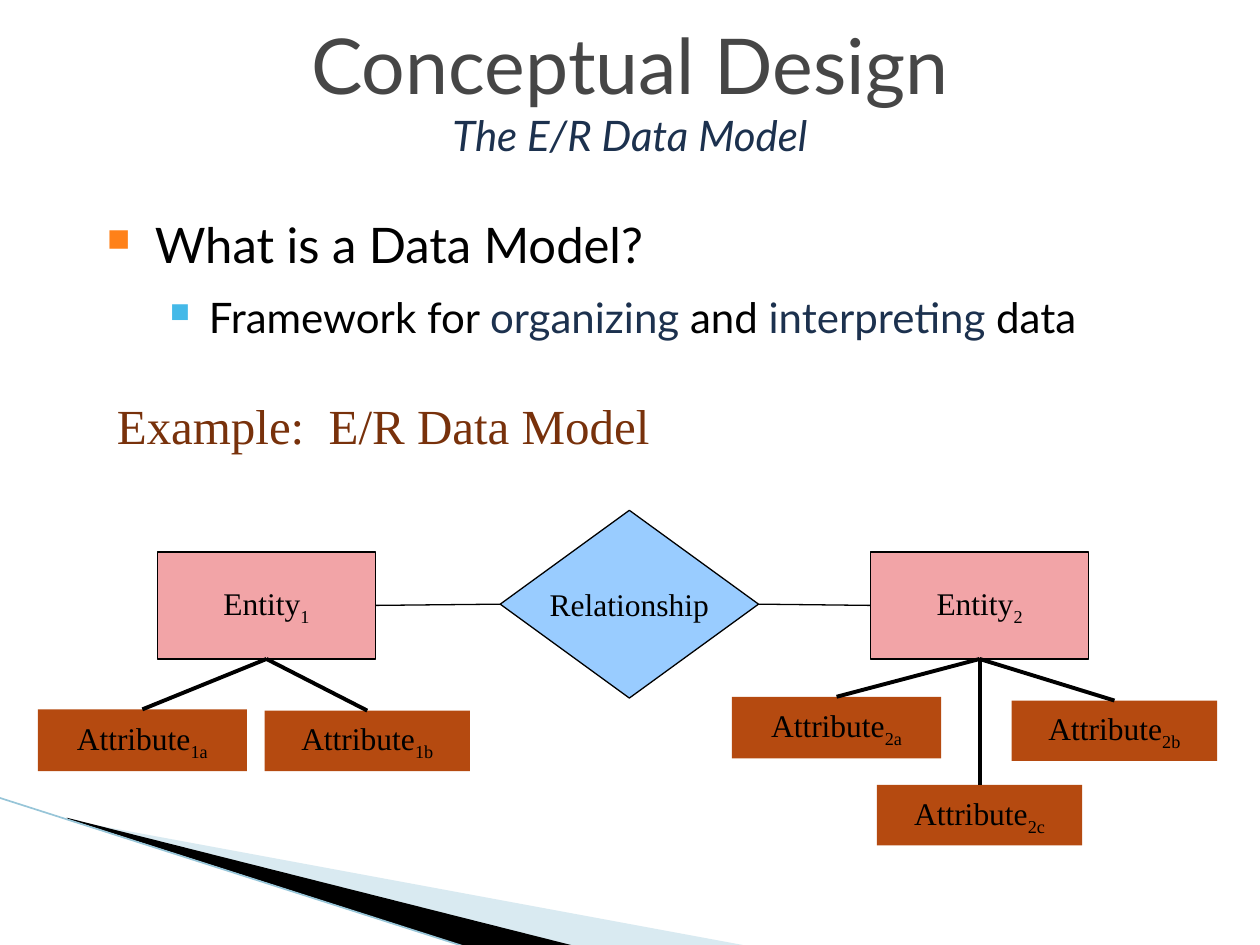
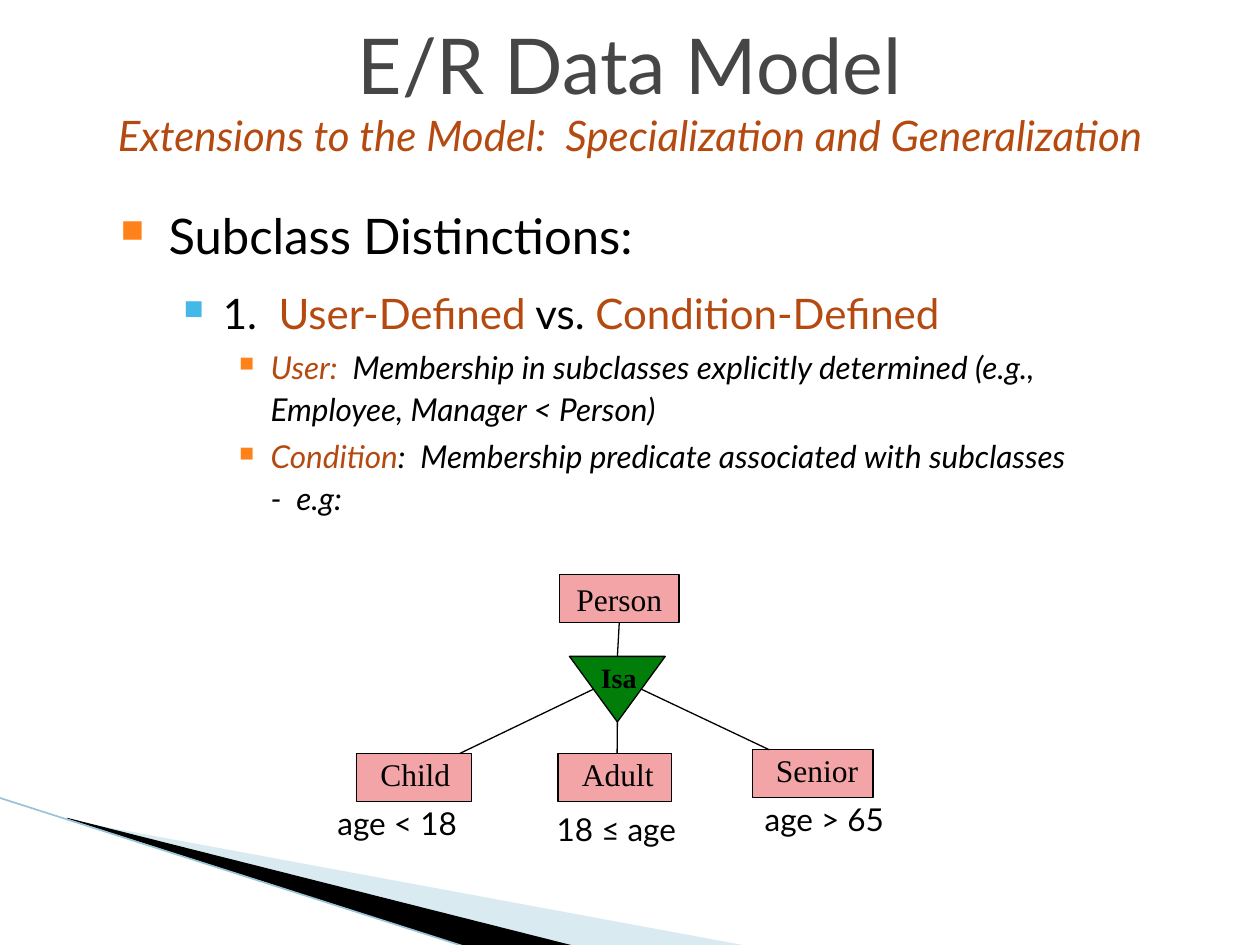
import dataclasses

import pptx
import pptx.dml.color
import pptx.enum.shapes
import pptx.enum.text
import pptx.oxml.ns
import pptx.util
from lxml import etree

COLS, ROWS = 100, 75
CELL = pptx.util.Inches(0.1)
SHAPE = pptx.enum.shapes.MSO_SHAPE
ANCHOR = pptx.enum.text.MSO_ANCHOR
ALIGN = pptx.enum.text.PP_ALIGN
FIT = pptx.enum.text.MSO_AUTO_SIZE
qn = pptx.oxml.ns.qn

HUES = {
    "ink": "000000", "title": "464646", "navy": "1C314E", "rust": "B54A10",
    "brown": "78310B", "pink": "F2A4A7", "sky": "99CCFF", "green": "007E09",
    "orange": "FF8119", "cyan": "44B9E8", "pale": "A0CBDC", "edge": "97C5D8",
}
SANS = {"name": "Lato", "hue": "ink"}
SERIF = {"name": "Times New Roman", "hue": "ink"}
NODE = {**SERIF, "size": 18}
NOTE = {**SANS, "size": 18}
LEVELS = [
    {"size": 28, "left": 0.38, "hang": 0.38, "dot": "orange"},
    {"size": 24, "left": 0.81, "hang": 0.31, "dot": "cyan"},
    {"size": 18, "left": 1.19, "hang": 0.25, "dot": "orange", "italic": True},
]


@dataclasses.dataclass
class Box:
    """A region measured in grid cells of the slide."""
    x: float
    y: float
    w: float
    h: float

    def cut(self, x, y, w, h):
        """A box placed relative to this one."""
        return Box(self.x + x, self.y + y, w, h)

    def spot(self, across, down):
        """The point at the given shares of the width and height."""
        return self.x + across * self.w, self.y + down * self.h

    def emu(self):
        return cells(self.x, self.y, self.w, self.h)


def cells(*values):
    return [round(v * CELL) for v in values]


def color(hue):
    return pptx.dml.color.RGBColor.from_string(HUES[hue])


def style(font, look):
    for key, value in look.items():
        if key == "hue":
            font.color.rgb = color(value)
        else:
            setattr(font, key, pptx.util.Pt(value) if key == "size" else value)


def write(para, text, look, low=""):
    """Add a run, followed by a subscript when one is given."""
    for words in filter(None, (text, low)):
        run = para.add_run()
        run.text = words
        style(run.font, look)
        if words is low:
            run.font._element.set("baseline", "-25000")


def paint(shape, fill, line=None):
    shape.shadow.inherit = False
    shape.fill.solid()
    shape.fill.fore_color.rgb = color(fill)
    if line:
        shape.line.color.rgb = color(line)
        shape.line.width = pptx.util.Pt(0.75)
    else:
        shape.line.fill.background()


def node(parts, box, fill, text="", low="", kind=SHAPE.RECTANGLE, line="ink"):
    shape = parts.add_shape(kind, *box.emu())
    paint(shape, fill, line)
    if text:
        frame = shape.text_frame
        frame.word_wrap = False
        frame.vertical_anchor = ANCHOR.MIDDLE
        frame.paragraphs[0].alignment = ALIGN.CENTER
        write(frame.paragraphs[0], text, NODE, low)
    return shape


def label(parts, box, text, look, wrap=False):
    frame = parts.add_textbox(*box.emu()).text_frame
    frame.word_wrap = wrap
    frame.auto_size = FIT.SHAPE_TO_FIT_TEXT
    write(frame.paragraphs[0], text, look)


def link(parts, start, end, width=0.75, hue="ink"):
    kind = pptx.enum.shapes.MSO_CONNECTOR.STRAIGHT
    line = parts.add_connector(kind, *cells(*start, *end))
    line.line.color.rgb = color(hue)
    line.line.width = pptx.util.Pt(width)
    etree.SubElement(line.element.spPr, qn("a:effectLst"))


def wedge(parts, points, fill, alpha=None):
    first, *rest = [cells(*p) for p in points]
    pen = parts.build_freeform(*first)
    pen.add_line_segments(rest, close=True)
    shape = pen.convert_to_shape()
    paint(shape, fill)
    if alpha:
        tone = next(shape.element.spPr.iter(qn("a:srgbClr")))
        etree.SubElement(tone, qn("a:alpha"), val=str(alpha * 1000))


def swoosh(parts, box):
    """The bands across the lower left corner."""
    def at(*points):
        return [(box.x + x, box.y + y) for x, y in points]

    wedge(parts, at((5.5, 1.8), (59.5, 11.8), (45.6, 11.8), (5.5, 1.7)), "pale", 40)
    wedge(parts, at((5.3, 1.6), (45.7, 11.8), (37.2, 11.9), (5.4, 1.7)), "ink")
    link(parts, *at((-0.1, 0), (37.1, 11.9)), 0.95, "edge")


def head(slide, box, title, sub, hue):
    shape = slide.shapes.title
    shape.left, shape.top, shape.width, shape.height = box.emu()
    frame = shape.text_frame
    frame.auto_size = FIT.NONE
    frame.vertical_anchor = ANCHOR.MIDDLE
    para = frame.paragraphs[0]
    para.alignment = ALIGN.CENTER
    write(para, title, {**SANS, "size": 44, "hue": "title"})
    para.add_line_break()
    write(para, sub, {**SANS, "size": 24, "hue": hue, "italic": True})


def bullet(para, rank):
    props = para._element.get_or_add_pPr()
    props.set("marL", str(pptx.util.Inches(rank["left"])))
    props.set("indent", str(-pptx.util.Inches(rank["hang"])))
    tint = etree.SubElement(props, qn("a:buClr"))
    etree.SubElement(tint, qn("a:srgbClr"), val=HUES[rank["dot"]])
    etree.SubElement(props, qn("a:buSzPct"), val="65000")
    etree.SubElement(props, qn("a:buChar"), char="■")


def body(parts, box, items):
    """Bullets given as (level, line spacing, runs of text and hue)."""
    frame = parts.add_textbox(*box.emu()).text_frame
    frame.word_wrap = True
    for i, (level, space, runs) in enumerate(items):
        para = frame.add_paragraph() if i else frame.paragraphs[0]
        rank = LEVELS[level]
        para.level = level
        para.line_spacing = space
        para.space_before = pptx.util.Pt(0.2 * rank["size"] if i else 0)
        bullet(para, rank)
        look = {**SANS, "size": rank["size"], "italic": rank.get("italic", False)}
        for text, hue in runs:
            write(para, text, {**look, "hue": hue})


def model(parts, box):
    """Two entities, their relationship and their attributes."""
    tie = box.cut(36.7, 0, 20.5, 14.9)
    node(parts, tie, "sky", "Relationship", kind=SHAPE.DIAMOND)
    wide, slim = (16.6, 4.9), (16.3, 4.8)
    sides = [
        ("1", 9.5, 1, 0, [("a", 0, 15.8, wide), ("b", 18, 15.9, slim)]),
        ("2", 66.1, 0, 1, [("a", 55.1, 14.8, wide), ("b", 77.3, 15.1, slim),
                           ("c", 66.6, 21.8, slim)]),
    ]
    for num, x, near, far, leaves in sides:
        entity = box.cut(x, 3.3, 17.3, 8.5)
        node(parts, entity, "pink", "Entity", num)
        link(parts, entity.spot(near, 0.5), tie.spot(far, 0.5))
        for mark, left, top, size in leaves:
            leaf = box.cut(left, top, *size)
            node(parts, leaf, "rust", "Attribute", num + mark, line=None)
            link(parts, entity.spot(0.5, 1), leaf.spot(0.5, 0), 2.25)


def tree(parts, box):
    """A class, its Isa triangle and its subclasses with their conditions."""
    person = box.cut(18.6, 0, 9.5, 3.8)
    node(parts, person, "pink", "Person")
    isa = box.cut(19.4, 6.5, 7.6, 5.2)
    group = parts.add_group_shape().shapes
    shape = node(group, isa, "green", kind=SHAPE.ISOSCELES_TRIANGLE)
    shape.element.spPr.find(qn("a:xfrm")).set("flipV", "1")
    label(group, box.cut(20.9, 6.3, 4.9, 3.7), "Isa",
          {**SERIF, "size": 16, "bold": True})
    link(parts, person.spot(0.5, 1), isa.spot(0.5, 0))

    kids = [
        ("Child", 2.5, 14.2, 9.1, 7.6, (0.25, 0.5), 0.9),
        ("Adult", 18.5, 14.2, 9, 7.7, (0.5, 1), 0.52),
        ("Senior", 33.9, 13.9, 9.6, 8.5, (0.75, 0.5), 0.14),
    ]
    for text, x, y, w, span, start, end in kids:
        kid = box.cut(x, y, w, 3.8)
        group = parts.add_group_shape().shapes
        node(group, kid, "pink")
        label(group, kid.cut(0.9, -0.4, span, 4), text, NODE)
        link(parts, isa.spot(*start), kid.spot(end, 0))
    for text, x, y, w in [("age < 18", 0, 17.7, 12.2),
                          ("18 ≤ age", 17.4, 18.2, 11.7),
                          ("age > 65", 33.9, 17.4, 12.2)]:
        label(parts, box.cut(x, y, w, 4), text, NOTE, wrap=True)


def page(deck, title, sub, hue):
    slide = deck.slides.add_slide(deck.slide_layouts[5])
    swoosh(slide.shapes, Box(0, 63.3, 60, 11.7))
    head(slide, Box(0, 0.8, COLS, 12.5), title, sub, hue)
    return slide.shapes


def main():
    deck = pptx.Presentation()
    deck.slide_width, deck.slide_height = cells(COLS, ROWS)

    parts = page(deck, "Conceptual Design", "The E/R Data Model", "navy")
    body(parts, Box(7.5, 16.5, 84.1, 13.3), [
        (0, 1.0, [("What is a Data Model?", "ink")]),
        (1, 1.2, [("Framework for ", "ink"), ("organizing", "navy"),
                  (" and ", "ink"), ("interpreting", "navy"), (" data", "ink")]),
    ])
    label(parts, Box(8.3, 30.9, 44.3, 5.7), "Example:  E/R Data Model",
          {**SERIF, "size": 28, "hue": "brown"})
    model(parts, Box(3, 40.5, 93.6, 26.6))

    parts = page(deck, "E/R Data Model",
                 "Extensions to the Model:  Specialization and Generalization", "rust")
    body(parts, Box(8.6, 15.8, 78.5, 6.6), [
        (0, 1.0, [("Subclass Distinctions:", "ink")]),
        (1, 1.3, [("1.  ", "ink"), ("User-Defined", "rust"), (" vs. ", "ink"),
                  ("Condition-Defined", "rust")]),
        (2, 1.1, [("User:", "rust"),
                  ("  Membership in subclasses explicitly determined "
                   "(e.g., Employee, Manager < Person)", "ink")]),
        (2, 1.1, [("Condition", "rust"),
                  (":  Membership predicate associated with subclasses"
                   "  -  e.g:", "ink")]),
    ])
    tree(parts, Box(25.8, 45.6, 46.1, 22.2))
    deck.save("out.pptx")


if __name__ == "__main__":
    main()
